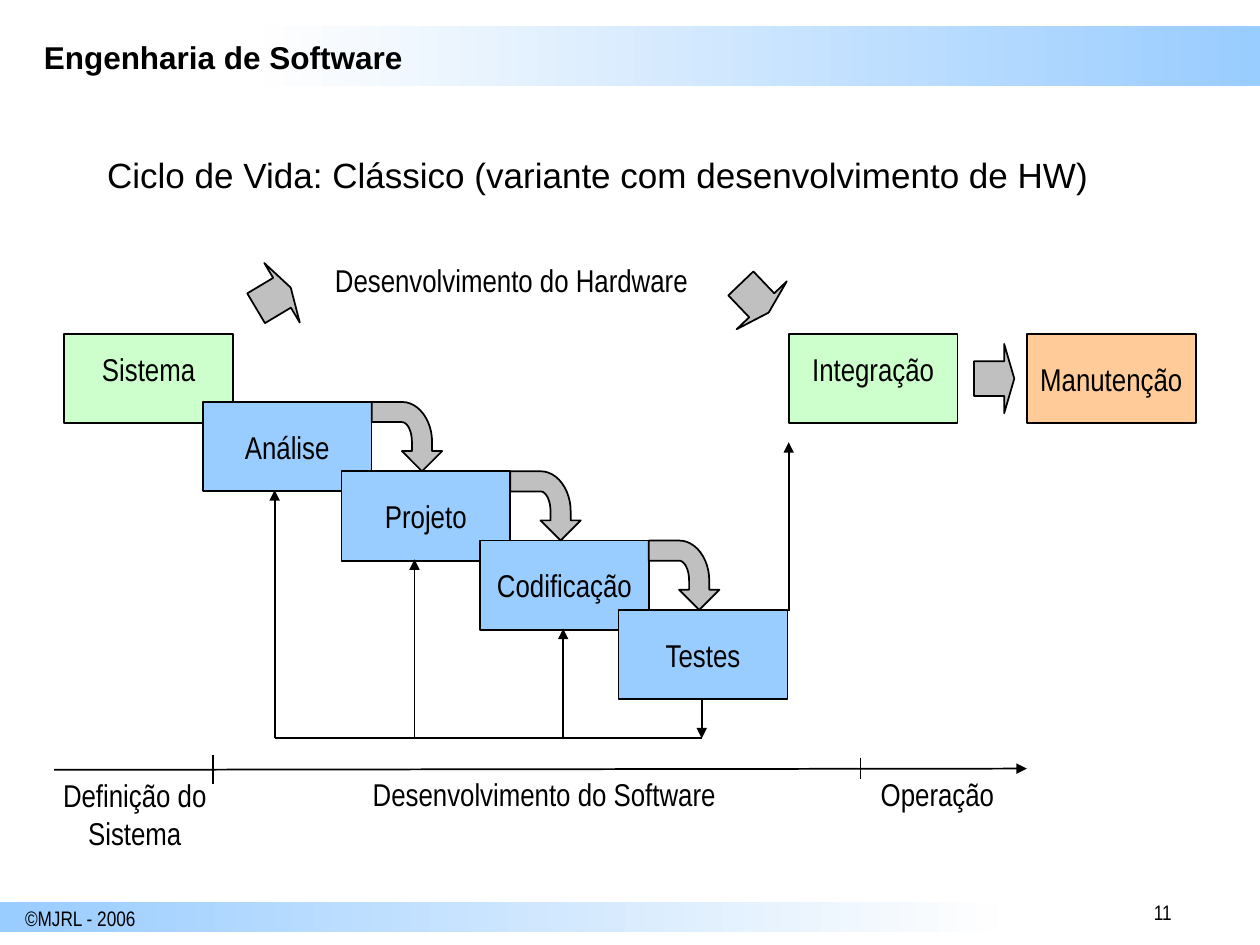
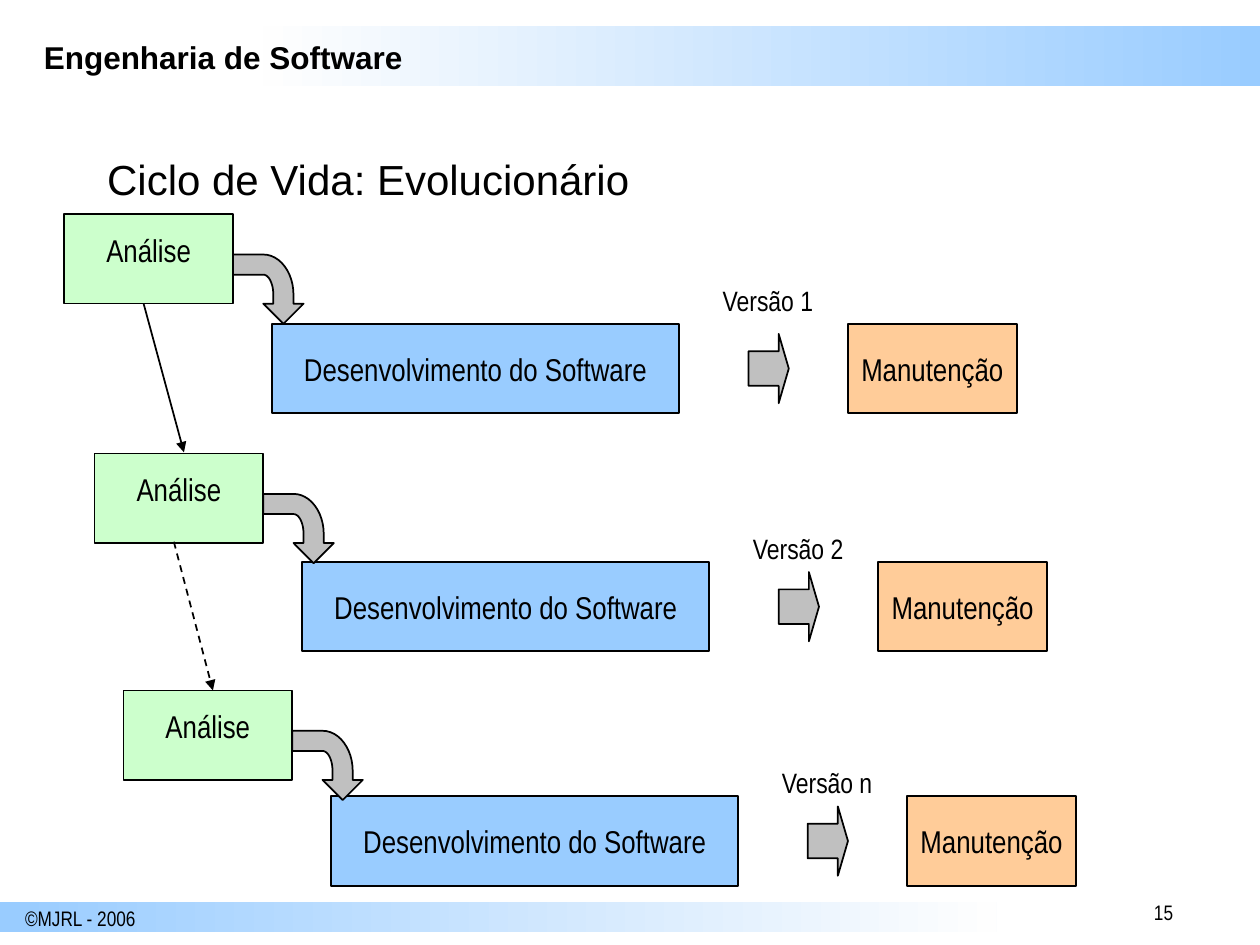
"""Build two slides on software life cycles: classic and evolutionary."""
from math import cos, pi, sin

from lxml.etree import SubElement
from pptx import Presentation
from pptx.dml.color import RGBColor
from pptx.enum.dml import MSO_LINE
from pptx.enum.shapes import MSO_CONNECTOR, MSO_SHAPE
from pptx.enum.text import MSO_ANCHOR, MSO_AUTO_SIZE, PP_ALIGN
from pptx.oxml.ns import qn
from pptx.util import Inches, Pt

BLACK, WHITE, GREY = "000000", "FEFEFE", "C0C0C0"
GREEN, BLUE, ORANGE = "CCFFCC", "99CCFF", "FFCC99"
HEADING_FONT, LABEL_FONT = "Arial", "Arial Narrow"
BOX_WIDTH, BOX_HEIGHT = 1.34, 0.71
DEVELOPMENT = "Desenvolvimento do Software"


def tint(color, value):
    color.rgb = RGBColor.from_string(value)


def write(shape, text, size, font=LABEL_FONT, align=PP_ALIGN.CENTER, bold=False):
    frame = shape.text_frame
    frame.text = text
    frame.word_wrap = False
    frame.auto_size = MSO_AUTO_SIZE.NONE
    for para in frame.paragraphs:
        para.alignment = align
        for span in para.runs:
            span.font.name, span.font.size, span.font.bold = font, Pt(size), bold
            tint(span.font.color, BLACK)


bands = [
    (2.09, 0.21, 0.47, (WHITE, BLUE)),
    (0, 7.16, 0.24, (BLUE, WHITE)),
]

phases = ["Análise", "Projeto", "Codificação", "Testes"]
classic = {
    "number": "11",
    "title": ("Ciclo de Vida: Clássico (variante com desenvolvimento de HW)", 20),
    "boxes": [("Sistema", 0.51, 2.65, BOX_WIDTH, GREEN)]
    + [(phase, 1.61 + 1.1 * step, 3.19 + 0.55 * step, BOX_WIDTH, BLUE)
       for step, phase in enumerate(phases)]
    + [("Integração", 6.26, 2.65, BOX_WIDTH, GREEN),
       ("Manutenção", 8.15, 2.65, BOX_WIDTH, ORANGE)],
    "bends": [(2.95 + 1.1 * step, 3.19 + 0.55 * step) for step in range(3)],
    "arrows": [(7.73, 2.73, 0), (2.01, 2.09, 329.2), (5.83, 2.09, 46.3)],
    "lines": [
        (0.43, 6.11, 8.15, 6.1, True, False),
        (1.69, 5.99, 1.69, 6.22, False, False),
        (6.83, 6.02, 6.83, 6.18, False, False),
        (5.57, 5.55, 5.57, 5.86, True, False),
        (5.57, 5.86, 2.18, 5.86, False, False),
        (2.18, 5.86, 2.18, 3.89, True, False),
        (3.29, 5.86, 3.29, 4.44, True, False),
        (4.47, 5.86, 4.47, 4.99, True, False),
        (6.26, 4.85, 6.26, 3.51, True, False),
    ],
    "labels": [
        ("Desenvolvimento do Hardware", 2.56, 2.02, 3, 0.4, 18),
        ("Definição do\nSistema", 0.4, 6.11, 1.34, 0.7, 18),
        (DEVELOPMENT, 2.86, 6.1, 2.92, 0.4, 18),
        ("Operação", 6.89, 6.1, 1.1, 0.4, 18),
    ],
}

evolutionary = {
    "number": "15",
    "title": ("Ciclo de Vida: Evolucionário", 24),
    "boxes": [], "bends": [], "arrows": [], "labels": [],
    "lines": [
        (1.14, 2.41, 1.46, 3.59, True, False),
        (1.38, 4.3, 1.69, 5.48, True, True),
    ],
}
versions = [
    ("Versão 1", 0, 1.7, 2.57, 2.2),
    ("Versão 2", 0.24, 3.6, 4.46, 4.17),
    ("Versão n", 0.47, 5.48, 6.32, 6.03),
]
for version, shift, analysis_top, development_top, version_top in versions:
    evolutionary["boxes"] += [
        ("Análise", 0.51 + shift, analysis_top, BOX_WIDTH, GREEN),
        (DEVELOPMENT, 2.16 + shift, development_top, 3.23, BLUE),
        ("Manutenção", 6.73 + shift, development_top, BOX_WIDTH, ORANGE),
    ]
    evolutionary["bends"].append((1.85 + shift, analysis_top + 0.32))
    evolutionary["arrows"].append((5.94 + shift, development_top + 0.08, 0))
    evolutionary["labels"].append((version, 5.63 + shift, version_top, 0.93, 0.37, 16))

quarter = [pi / 2 * step / 12 for step in range(13)]
outer_curve = [(0.24 + 0.24 * sin(a), 0.32 - 0.32 * cos(a)) for a in quarter]
inner_curve = [(0.24 + 0.08 * cos(a), 0.32 - 0.16 * sin(a)) for a in quarter]
arrowhead = [(0.48, 0.39), (0.56, 0.39), (0.4, 0.55), (0.24, 0.39), (0.32, 0.39)]
bend_outline = outer_curve + arrowhead + inner_curve + [(0, 0.16)]

deck = Presentation()
deck.slide_width, deck.slide_height = Inches(10), Inches(7.5)

for content in (classic, evolutionary):
    page = deck.slides.add_slide(deck.slide_layouts[5])
    shapes = page.shapes

    for left, top, height, ends in bands:
        band = shapes.add_shape(MSO_SHAPE.RECTANGLE, Inches(left), Inches(top),
                                Inches(7.91), Inches(height))
        band.shadow.inherit = False
        band.line.fill.background()
        band.fill.gradient()
        band.fill.gradient_angle = 0
        for stop, value in zip(band.fill.gradient_stops, ends):
            tint(stop.color, value)

    furniture = [
        ("Engenharia de Software", 0.25, 0.25, 4.83, 0.4, 18, HEADING_FONT, True),
        (content["number"], 9.06, 7.09, 0.82, 0.3, 12, LABEL_FONT, False),
        ("©MJRL - 2006", 0.1, 7.14, 1.08, 0.3, 12, LABEL_FONT, False),
    ]
    for text, left, top, width, height, size, font, bold in furniture:
        box = shapes.add_textbox(Inches(left), Inches(top), Inches(width), Inches(height))
        write(box, text, size, font, PP_ALIGN.LEFT, bold)

    title = shapes.title
    title.left, title.top = Inches(0.75), Inches(1.17)
    title.width, title.height = Inches(8.5), Inches(0.75)
    write(title, *content["title"], HEADING_FONT, PP_ALIGN.LEFT)
    title.text_frame.word_wrap = True
    title.text_frame.vertical_anchor = MSO_ANCHOR.TOP

    outlined = []
    for text, left, top, width, fill in content["boxes"]:
        box = shapes.add_shape(MSO_SHAPE.RECTANGLE, Inches(left), Inches(top),
                               Inches(width), Inches(BOX_HEIGHT))
        write(box, text, 18)
        box.text_frame.vertical_anchor = MSO_ANCHOR.MIDDLE
        if fill == GREEN:
            box.text_frame.margin_bottom = Inches(0.2)
        outlined.append((box, fill))

    for left, top in content["bends"]:
        builder = shapes.build_freeform(Inches(left), Inches(top))
        builder.add_line_segments(
            [(Inches(left + x), Inches(top + y)) for x, y in bend_outline])
        outlined.append((builder.convert_to_shape(), GREY))

    for left, top, angle in content["arrows"]:
        arrow = shapes.add_shape(MSO_SHAPE.RIGHT_ARROW, Inches(left), Inches(top),
                                 Inches(0.32), Inches(0.55))
        arrow.adjustments[1] = 0.25
        arrow.rotation = angle
        outlined.append((arrow, GREY))

    for shape, fill in outlined:
        shape.shadow.inherit = False
        shape.fill.solid()
        tint(shape.fill.fore_color, fill)
        tint(shape.line.color, BLACK)
        shape.line.width = Pt(1)

    for x1, y1, x2, y2, pointed, dashed in content["lines"]:
        line = shapes.add_connector(MSO_CONNECTOR.STRAIGHT, Inches(x1), Inches(y1),
                                    Inches(x2), Inches(y2))
        tint(line.line.color, BLACK)
        line.line.width = Pt(1)
        if dashed:
            line.line.dash_style = MSO_LINE.DASH
        properties = line._element.spPr
        if pointed:
            SubElement(properties.find(qn("a:ln")), qn("a:tailEnd"), type="triangle")
        SubElement(properties, qn("a:effectLst"))

    for text, left, top, width, height, size in content["labels"]:
        box = shapes.add_textbox(Inches(left), Inches(top), Inches(width), Inches(height))
        write(box, text, size)

deck.save("out.pptx")
